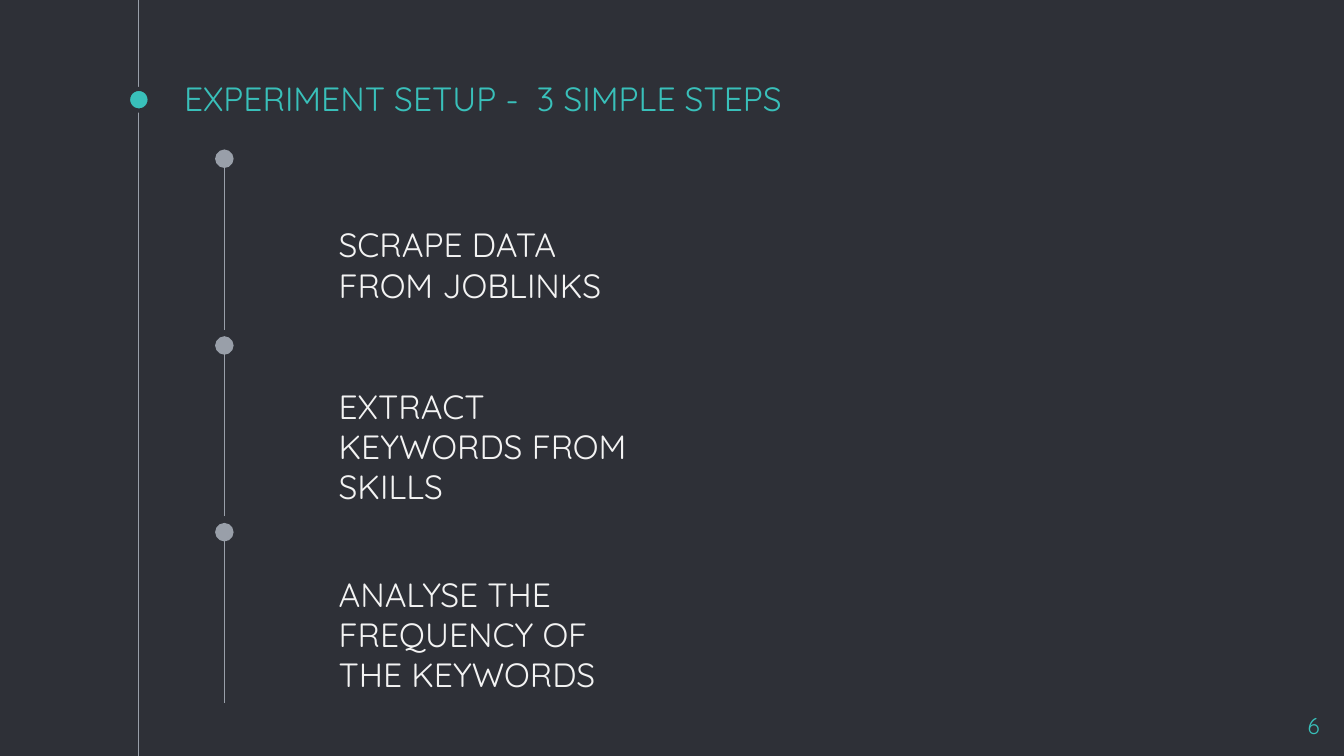
from lxml import etree
from pptx import Presentation
from pptx.dml.color import RGBColor
from pptx.enum.shapes import MSO_CONNECTOR, MSO_SHAPE
from pptx.enum.text import MSO_ANCHOR, PP_ALIGN
from pptx.oxml.ns import qn
from pptx.util import Cm, Pt

STRAIGHT = MSO_CONNECTOR.STRAIGHT
OVAL = MSO_SHAPE.OVAL
TOP, BOTTOM = MSO_ANCHOR.TOP, MSO_ANCHOR.BOTTOM
LEFT, RIGHT = PP_ALIGN.LEFT, PP_ALIGN.RIGHT

COLOURS = {
    name: RGBColor.from_string(value)
    for name, value in {
        "background": "2E3037",
        "line": "999FA9",
        "accent": "39C0BA",
        "text": "F3F3F3",
    }.items()
}

deck = Presentation()
deck.slide_width, deck.slide_height = Cm(25.4), Cm(14.29)
page = deck.slides.add_slide(deck.slide_layouts[6])
page.background.fill.solid()
page.background.fill.fore_color.rgb = COLOURS["background"]


def add_line(x, start, end):
    line = page.shapes.add_connector(STRAIGHT, Cm(x), Cm(start), Cm(x), Cm(end))
    line.line.color.rgb = COLOURS["line"]
    line.line.width = Pt(0.75)
    etree.SubElement(line._element.spPr, qn("a:effectLst"))
    return line


def add_text(text, left, top, width, height, colour, size=18, align=LEFT, anchor=TOP):
    box = page.shapes.add_textbox(Cm(left), Cm(top), Cm(width), Cm(height))
    frame = box.text_frame
    frame.word_wrap = True
    frame.vertical_anchor = anchor
    frame.margin_left = frame.margin_right = Cm(0.25)
    frame.margin_top = frame.margin_bottom = Cm(0.25)
    para = frame.paragraphs[0]
    para.text = text
    para.alignment = align
    para.font.name = "Quicksand"
    para.font.size = Pt(size)
    para.font.color.rgb = COLOURS[colour]


# Full-height line with the title's dot
add_line(2.62, 0, 14.29)
dot = page.shapes.add_shape(OVAL, Cm(2.42), Cm(1.68), Cm(0.41), Cm(0.41))
dot.shadow.inherit = False
dot.fill.solid()
dot.fill.fore_color.rgb = COLOURS["accent"]
dot.line.color.rgb = COLOURS["background"]
dot.line.width = Pt(2.25)

# Title
add_text("EXPERIMENT SETUP -  3 SIMPLE STEPS", 3.23, 1.52, 19.05, 0.97,
         "accent", anchor=BOTTOM)

# Steps: a line ending in a dot at the top, and its text
steps = [
    ("SCRAPE DATA FROM JOBLINKS", 3.99),
    ("EXTRACT KEYWORDS FROM SKILLS", 7.04),
    ("ANALYSE THE FREQUENCY OF THE KEYWORDS", 10.59),
]
for index, (text, text_top) in enumerate(steps):
    line_top = 3 + index * 3.53
    step_line = add_line(4.24, line_top + 3.23, line_top)
    etree.SubElement(step_line.line._get_or_add_ln(), qn("a:tailEnd"),
                     type="oval", w="lg", len="lg")
    add_text(text, 6.15, text_top, 6.43, 0.79, "text")

# Page number
add_text("6", 23.67, 13.21, 1.52, 0.86, "accent", size=12, align=RIGHT)

deck.save("out.pptx")
